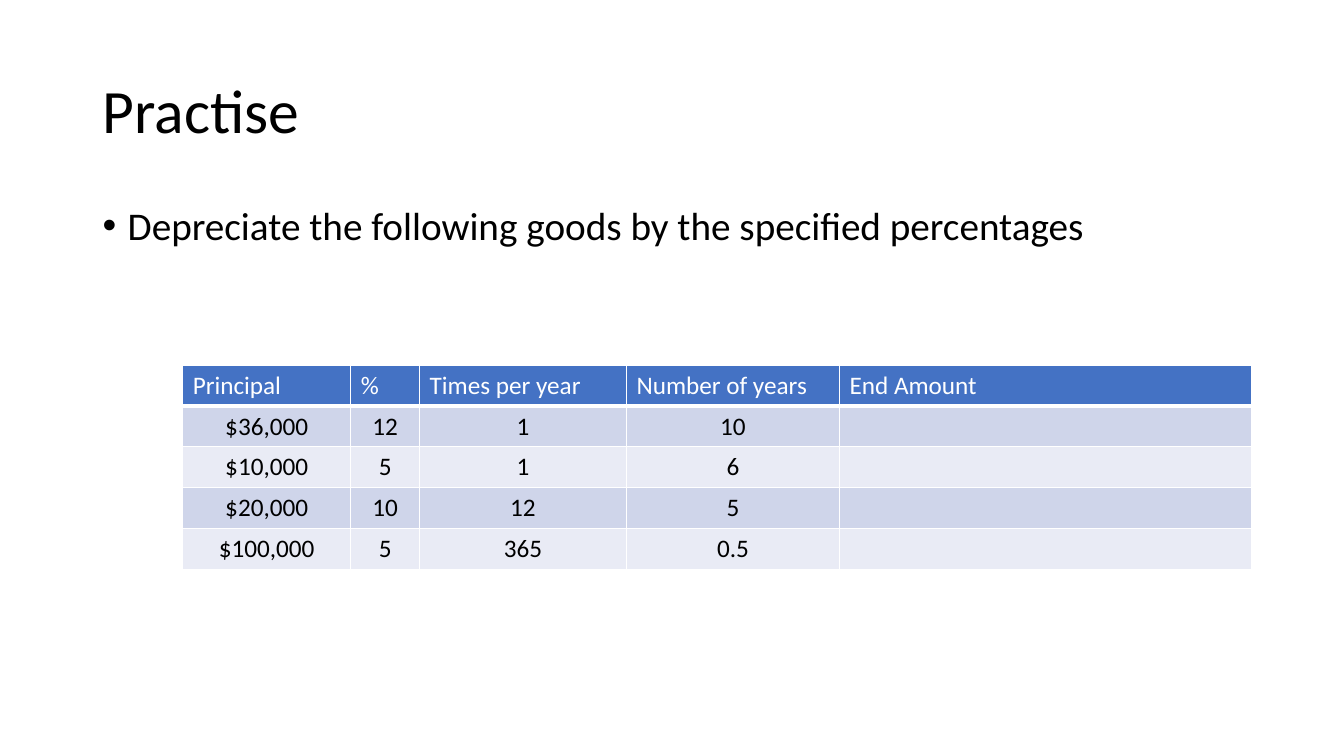
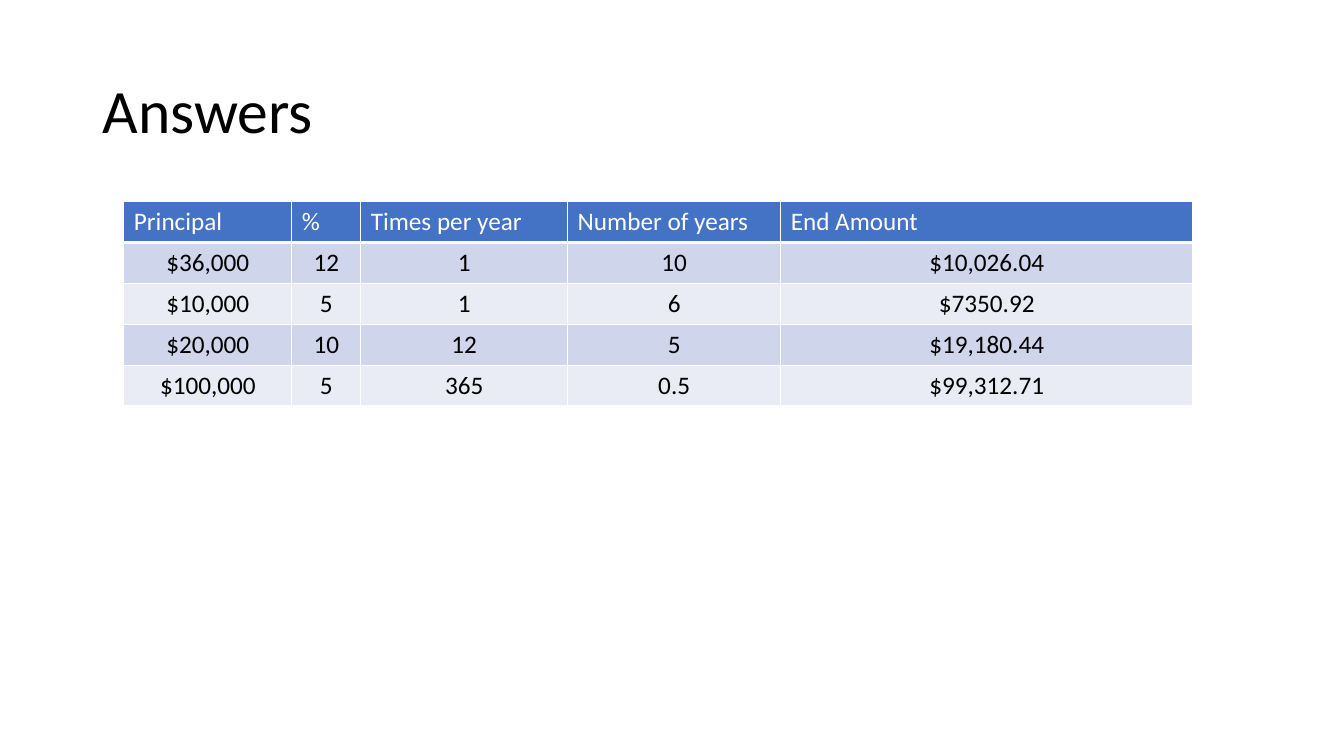
from lxml.etree import SubElement
from pptx import Presentation
from pptx.dml.color import RGBColor
from pptx.enum.text import MSO_ANCHOR as Anchor, PP_ALIGN as Align
from pptx.oxml.ns import qn
from pptx.util import Pt

FONT = "Calibri"
BLACK, WHITE = "000000", "FFFFFF"
HEADER_FILL = "4472C4"
BAND_FILLS = ("CFD5EA", "E9EBF5")
TITLE_BOX = (66.2, 28.8, 828, 104.4)
BODY_BOX = (66.2, 144, 828, 342.8)
COLUMN_WIDTHS = (120, 49.2, 147.8, 152.2, 294.5)
ROW_HEIGHT = 29.2
HEADERS = ("Principal", "%", "Times per year", "Number of years", "End Amount")
GOODS = (
    ("$36,000", "12", "1", "10"),
    ("$10,000", "5", "1", "6"),
    ("$20,000", "10", "12", "5"),
    ("$100,000", "5", "365", "0.5"),
)
END_AMOUNTS = ("$10,026.04", "$7350.92", "$19,180.44", "$99,312.71")


def color(hex_value):
    """Turn a hex string into a colour."""
    return RGBColor.from_string(hex_value)


def style_runs(paragraph, size, hex_value):
    """Format every run of a paragraph."""
    for run in paragraph.runs:
        run.font.name = FONT
        run.font.size = Pt(size)
        run.font.bold = False
        run.font.color.rgb = color(hex_value)


def add_text(slide, box, text, size, anchor=Anchor.TOP):
    """Add a wrapped text box and return its paragraph."""
    frame = slide.shapes.add_textbox(*map(Pt, box)).text_frame
    frame.word_wrap = True
    frame.vertical_anchor = anchor
    frame.text = text
    paragraph = frame.paragraphs[0]
    paragraph.line_spacing = 0.9
    style_runs(paragraph, size, BLACK)
    return paragraph


def add_title(slide, text):
    """Add the slide title."""
    add_text(slide, TITLE_BOX, text, 44, Anchor.MIDDLE)


def add_bullet(slide, text):
    """Add the bulleted instruction."""
    paragraph = add_text(slide, BODY_BOX, text, 28)
    properties = paragraph._p.get_or_add_pPr()
    properties.set("marL", str(Pt(18)))
    properties.set("indent", str(-Pt(18)))
    SubElement(properties, qn("a:buFont"), typeface="Arial")
    SubElement(properties, qn("a:buChar"), char="•")


def set_borders(cell, bottom_width):
    """Draw white lines around a cell."""
    properties = cell._tc.get_or_add_tcPr()
    for side, width in (("L", 1), ("R", 1), ("T", 1), ("B", bottom_width)):
        line = SubElement(properties, qn(f"a:ln{side}"), w=str(Pt(width)))
        fill = SubElement(line, qn("a:solidFill"))
        SubElement(fill, qn("a:srgbClr"), val=WHITE)


def fill_cell(cell, text, row_index):
    """Write and style a cell as header or banded body."""
    is_header = row_index == 0
    set_borders(cell, 3 if is_header else 1)
    cell.fill.solid()
    cell.fill.fore_color.rgb = color(
        HEADER_FILL if is_header else BAND_FILLS[(row_index - 1) % 2])
    cell.text_frame.text = text
    paragraph = cell.text_frame.paragraphs[0]
    paragraph.alignment = Align.LEFT if is_header else Align.CENTER
    style_runs(paragraph, 18, WHITE if is_header else BLACK)


def add_goods_table(slide, left, top, end_amounts):
    """Add the depreciation table at a given corner."""
    rows = [HEADERS] + [(*good, end) for good, end in zip(GOODS, end_amounts)]
    table = slide.shapes.add_table(
        len(rows), len(HEADERS), Pt(left), Pt(top),
        Pt(sum(COLUMN_WIDTHS)), Pt(ROW_HEIGHT * len(rows))).table
    table.horz_banding = False
    for column, width in zip(table.columns, COLUMN_WIDTHS):
        column.width = Pt(width)
    for row_index, values in enumerate(rows):
        table.rows[row_index].height = Pt(ROW_HEIGHT)
        for column_index, value in enumerate(values):
            fill_cell(table.cell(row_index, column_index), value, row_index)


def add_practice_slide(slide):
    """Build the exercise with blank end amounts."""
    add_title(slide, "Practise")
    add_bullet(slide, "Depreciate the following goods by the specified percentages")
    add_goods_table(slide, 130.5, 260.8, [""] * len(GOODS))


def add_answers_slide(slide):
    """Build the completed table."""
    add_title(slide, "Answers")
    add_goods_table(slide, 88.5, 144, END_AMOUNTS)


def main():
    """Build and save the presentation."""
    presentation = Presentation()
    presentation.slide_width = Pt(960)
    presentation.slide_height = Pt(540)
    blank = presentation.slide_layouts[6]
    for build in (add_practice_slide, add_answers_slide):
        build(presentation.slides.add_slide(blank))
    presentation.save("out.pptx")


if __name__ == "__main__":
    main()
